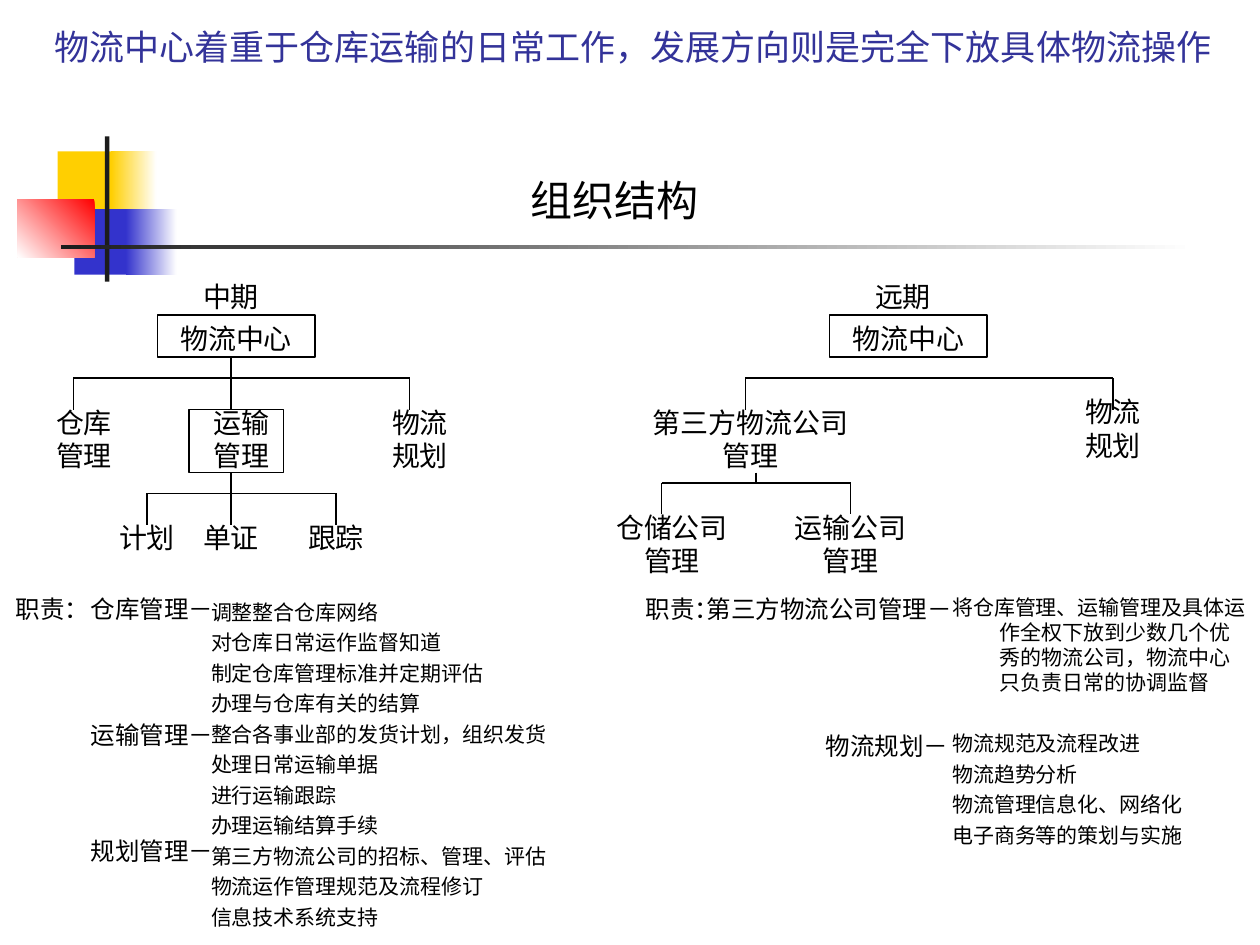
from lxml.etree import SubElement
from pptx import Presentation
from pptx.dml.color import RGBColor
from pptx.enum.shapes import MSO_CONNECTOR, MSO_SHAPE
from pptx.enum.text import MSO_ANCHOR, PP_ALIGN
from pptx.oxml.ns import qn
from pptx.util import Pt

BLACK, WHITE = "000000", "FFFFFF"
YELLOW, BLUE, RED, CHARCOAL = "FFCF01", "3333CC", "FF0000", "1C1C1C"
LABEL_SIZE, DUTY_SIZE, DETAIL_SIZE = 16, 14, 12


def color(value):
    """Turn a hex string into a colour."""
    return RGBColor.from_string(value)


def add_text(slide, left, top, width, height, lines, size, ink=BLACK,
             align=PP_ALIGN.CENTER, anchor=MSO_ANCHOR.TOP):
    """Place a wrapping text box and return its paragraphs."""
    frame = slide.shapes.add_textbox(Pt(left), Pt(top), Pt(width), Pt(height)).text_frame
    frame.word_wrap = True
    frame.vertical_anchor = anchor
    frame.text = "\n".join(lines)
    for paragraph in frame.paragraphs:
        paragraph.alignment = align
        paragraph.font.name = "Roboto"
        paragraph.font.size = Pt(size)
        paragraph.font.color.rgb = color(ink)
    return frame.paragraphs


def add_label(slide, left, top, width, wording, size=LABEL_SIZE):
    """Place one centred label."""
    add_text(slide, left, top, width, 26, [wording], size)


def add_block(slide, left, top, width, height, ink, fade_angle=None):
    """Place a borderless block, solid or fading to white."""
    block = slide.shapes.add_shape(
        MSO_SHAPE.RECTANGLE, Pt(left), Pt(top), Pt(width), Pt(height))
    block.shadow.inherit = False
    block.line.fill.background()
    if fade_angle is None:
        block.fill.solid()
        block.fill.fore_color.rgb = color(ink)
    else:
        block.fill.gradient()
        block.fill.gradient_angle = fade_angle
        for stop, shade in zip(block.fill.gradient_stops, (ink, WHITE)):
            stop.color.rgb = color(shade)


def add_frame(slide, left, top, width, height):
    """Outline a unit of the chart."""
    frame = slide.shapes.add_shape(
        MSO_SHAPE.RECTANGLE, Pt(left), Pt(top), Pt(width), Pt(height))
    frame.shadow.inherit = False
    frame.fill.background()
    frame.line.color.rgb = color(BLACK)
    frame.line.width = Pt(0.75)


def add_line(slide, x1, y1, x2, y2):
    """Draw a thin black line."""
    line = slide.shapes.add_connector(
        MSO_CONNECTOR.STRAIGHT, Pt(x1), Pt(y1), Pt(x2), Pt(y2))
    line.line.color.rgb = color(BLACK)
    line.line.width = Pt(0.75)
    SubElement(line._element.spPr, qn("a:effectLst"))


def add_bracket(slide, start, end, bar, stem=None):
    """Draw a bar with a drop at each end and an optional stem (x, top, bottom)."""
    add_line(slide, start, bar, end, bar)
    for x in (start, end):
        add_line(slide, x, bar, x, bar + 18)
    if stem:
        x, top, bottom = stem
        add_line(slide, x, top, x, bottom)


def add_ornament(slide, left, top):
    """Draw the coloured blocks and crossing bars beside the heading."""
    for x, y, width, height, ink, fade_angle in (
        (23, 8.5, 35, 37.5, YELLOW, None),
        (53.5, 8.5, 26, 37.5, YELLOW, 0),
        (32.5, 41.5, 33, 37.5, BLUE, None),
        (62, 41.5, 29, 37.5, BLUE, 0),
        (0, 36, 44, 33, RED, 225),
        (50, 0, 2.5, 83, CHARCOAL, None),
        (25, 62, 648, 2.5, CHARCOAL, 0),
    ):
        add_block(slide, left + x, top + y, width, height, ink, fade_angle)


def add_root(slide, left, top, period):
    """Place the period and the framed logistics centre."""
    add_label(slide, left + 18, top, 60, period)
    add_frame(slide, left + 6, top + 24, 90, 24)
    add_label(slide, left, top + 24, 102, "物流中心")


def add_mid_term_chart(slide, left, top):
    """Draw the mid-term organisation."""
    add_root(slide, left + 66, top, "中期")
    add_bracket(slide, left + 24, left + 216, top + 60, (left + 114, top + 48, top + 78))
    add_frame(slide, left + 90, top + 78, 54, 36)
    for x, unit in ((0, "仓库管理"), (90, "运输管理"), (192, "物流规划")):
        add_label(slide, left + x, top + 72, 60, unit)
    add_bracket(slide, left + 66, left + 174, top + 126, (left + 114, top + 114, top + 144))
    for x, task in ((36, "计划"), (84, "单证"), (144, "跟踪")):
        add_label(slide, left + x, top + 138, 60, task)


def add_long_term_chart(slide, left, top):
    """Draw the long-term organisation."""
    add_root(slide, left + 126, top, "远期")
    add_bracket(slide, left + 84, left + 294, top + 60)
    add_label(slide, left + 23, top + 72, 128, "第三方物流公司管理")
    add_label(slide, left + 264, top + 66, 60, "物流规划")
    add_bracket(slide, left + 36, left + 144, top + 120, (left + 90, top + 114, top + 120))
    for x, company in ((0, "仓储公司管理"), (102, "运输公司管理")):
        add_label(slide, left + x, top + 132, 84, company)


def add_duties(slide, left, top, units, details, details_box, gaps):
    """List the duties: units as (x, y, width, wording), gaps as extra space by index."""
    add_label(slide, left, top, 60, "职责：", DUTY_SIZE)
    for x, y, width, unit in units:
        add_label(slide, left + x, top + y, width, unit, DUTY_SIZE)
    x, y, width, height = details_box
    paragraphs = add_text(slide, left + x, top + y, width, height, details,
                          DETAIL_SIZE, align=PP_ALIGN.LEFT)
    for index, paragraph in enumerate(paragraphs):
        properties = paragraph._p.get_or_add_pPr()
        properties.set("marL", str(Pt(27)))
        properties.set("indent", str(-Pt(27)))
        if index:
            paragraph.space_before = Pt(gaps.get(index, 3))


def main():
    """Build the slide and save it."""
    deck = Presentation()
    deck.slide_width, deck.slide_height = Pt(720), Pt(540)
    slide = deck.slides.add_slide(deck.slide_layouts[6])

    add_ornament(slide, 10, 78)
    add_text(slide, 24, 18, 696, 24,
             ["物流中心着重于仓库运输的日常工作，发展方向则是完全下放具体物流操作"],
             20, "333399", PP_ALIGN.LEFT, MSO_ANCHOR.BOTTOM)
    add_label(slide, 240, 96, 222, "组织结构", 24)
    add_mid_term_chart(slide, 18, 156)
    add_long_term_chart(slide, 342, 156)
    add_duties(
        slide, 0, 336,
        [(24, 0, 126, "仓库管理－"), (36, 72, 102, "运输管理－"), (36, 138, 102, "规划管理－")],
        ["调整整合仓库网络", "对仓库日常运作监督知道", "制定仓库管理标准并定期评估",
         "办理与仓库有关的结算", "整合各事业部的发货计划，组织发货", "处理日常运输单据",
         "进行运输跟踪", "办理运输结算手续", "第三方物流公司的招标、管理、评估",
         "物流运作管理规范及流程修订", "信息技术系统支持"],
        (113.5, 3, 207, 201), {})
    add_duties(
        slide, 360, 336,
        [(24, 0, 180, "第三方物流公司管理－"), (96, 78, 102, "物流规划－")],
        ["将仓库管理、运输管理及具体运作全权下放到少数几个优秀的物流公司，物流中心只负责日常的协调监督",
         "物流规范及流程改进", "物流趋势分析", "物流管理信息化、网络化", "电子商务等的策划与实施"],
        (177, 0, 183, 171), {1: 20.4})
    deck.save("out.pptx")


if __name__ == "__main__":
    main()
